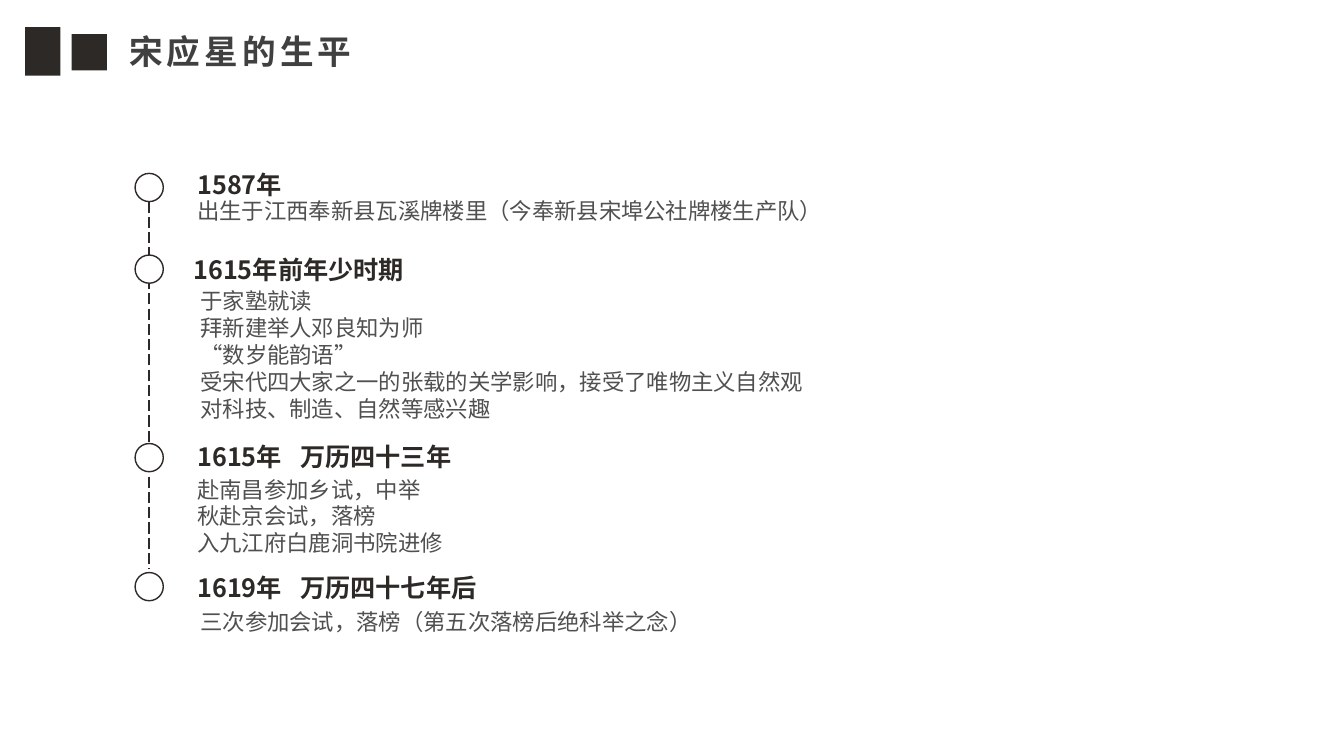
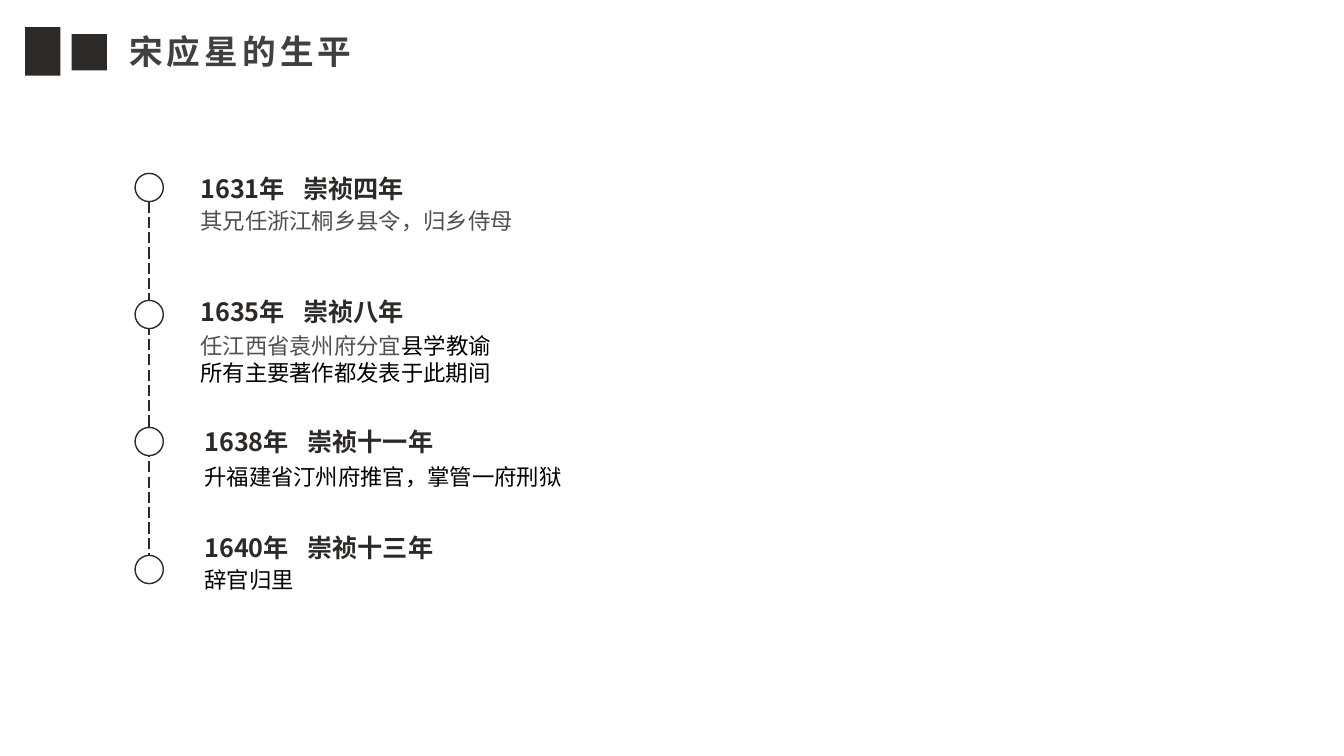
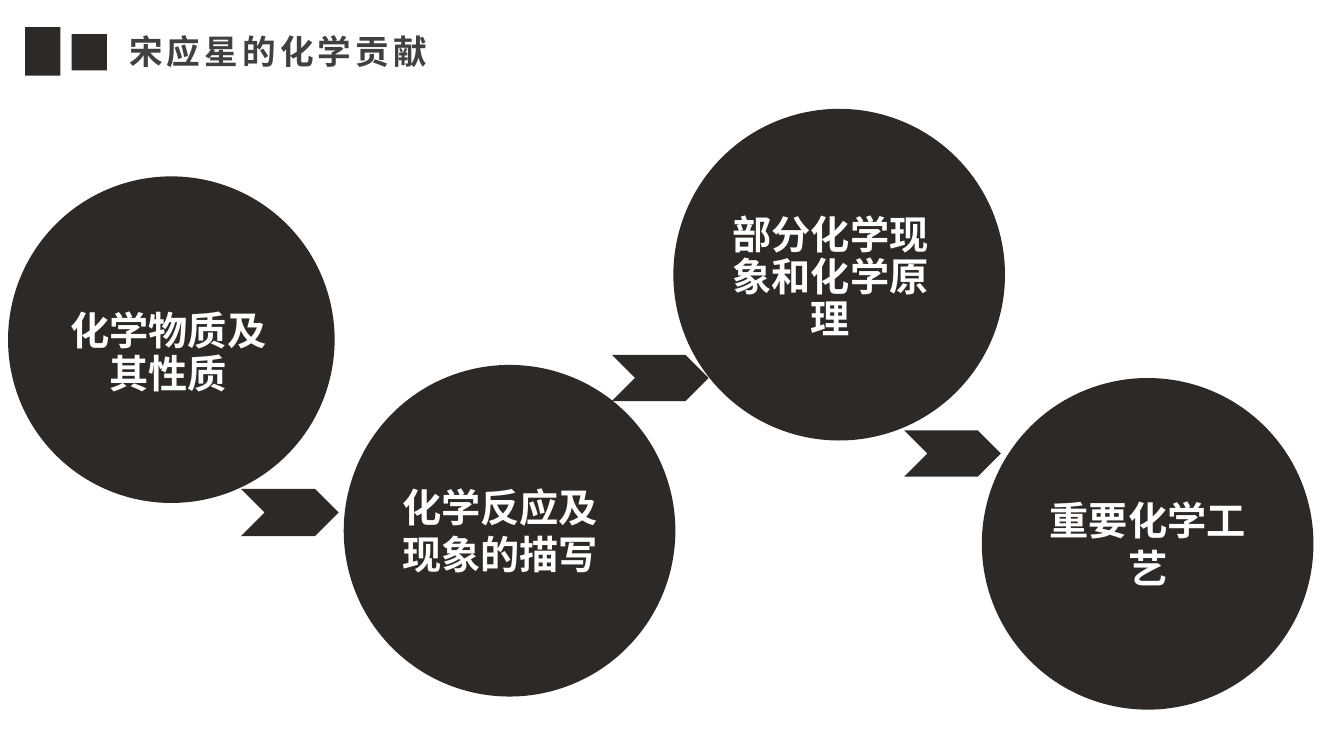
"""Build three slides on the life of Song Yingxing and his chemical work."""
from dataclasses import dataclass
from typing import NamedTuple, Optional

import lxml.etree
import pptx
import pptx.dml.color
import pptx.enum.dml
import pptx.enum.shapes
import pptx.enum.text
import pptx.oxml.ns
import pptx.util

SHAPE = pptx.enum.shapes.MSO_SHAPE
ALIGN = pptx.enum.text.PP_ALIGN
ANCHOR = pptx.enum.text.MSO_ANCHOR
FONT = "Noto Sans CJK SC"
COLORS = {
    "ink": "2D2926",
    "title": "404040",
    "detail": "505050",
    "black": "000000",
    "white": "FFFFFF",
}

COLUMNS, ROWS = 133.33, 75
CELL = pptx.util.Inches(0.1)
NODE_LEFT, NODE_SIZE = 13.4, 2.8
AXIS_COLUMN, AXIS_END = NODE_LEFT + NODE_SIZE / 2, 56.4
ERA_TAB = 10.2


class Area(NamedTuple):
    """Left, top, width and height in grid cells."""
    left: float
    top: float
    width: float
    height: float


class Style(NamedTuple):
    """Character formatting."""
    size: int
    color: str
    bold: bool = False
    spacing: int = 0


class Span(NamedTuple):
    """A piece of a line in one colour."""
    text: str
    color: str = "detail"


@dataclass
class Event:
    """A dated entry of the timeline."""
    node_top: float
    heading_left: float
    heading_top: float
    heading: str
    details_left: float
    details_top: float
    details: list[list[Span]]


@dataclass
class Topic:
    """A circle with its text, set inside it or in a separate area."""
    circle: Area
    text: str
    align: int = ALIGN.CENTER
    label: Optional[Area] = None


TITLE = Style(24, "title", True, 300)
HEADING = Style(18, "ink", True)
DETAIL = Style(16, "detail")
TOPIC = Style(28, "white", True)

TITLE_AREA = Area(12.1, 2.8, 118.9, 4.7)
TITLE_BLOCKS = [Area(2.5, 2.7, 3.5, 4.8), Area(7.1, 3.4, 3.5, 3.6)]

EARLY_LIFE = [
    Event(17.2, 18.6, 16.3, "1587年", 18.6, 19.1,
          [[Span("出生于江西奉新县瓦溪牌楼里（今奉新县宋埠公社牌楼生产队）")]]),
    Event(25.3, 18.2, 24.7, "1615年前年少时期", 18.9, 28,
          [[Span("于家塾就读")],
           [Span("拜新建举人邓良知为师")],
           [Span("“数岁能韵语”")],
           [Span("受宋代四大家之一的张载的关学影响，接受了唯物主义自然观")],
           [Span("对科技、制造、自然等感兴趣")]]),
    Event(44, 18.6, 43.3, "1615年\t万历四十三年", 18.6, 46.7,
          [[Span("赴南昌参加乡试，中举")],
           [Span("秋赴京会试，落榜")],
           [Span("入九江府白鹿洞书院进修")]]),
    Event(56.8, 18.6, 56.3, "1619年\t万历四十七年后", 18.9, 59.8,
          [[Span("三次参加会试，落榜（第五次落榜后绝科举之念）")]]),
]
LATER_LIFE = [
    Event(17.2, 18.9, 16.7, "1631年\t崇祯四年", 18.9, 20.1,
          [[Span("其兄任浙江桐乡县令，归乡侍母")]]),
    Event(29.8, 18.9, 28.9, "1635年\t崇祯八年", 18.9, 32.5,
          [[Span("任江西省袁州府分宜"), Span("县学教谕", "black")],
           [Span("所有主要著作都发表于此期间", "black")]]),
    Event(42.4, 19.3, 41.8, "1638年\t崇祯十一年", 19.3, 45.5,
          [[Span("升福建省汀州府推官，掌管一府刑狱", "black")]]),
    Event(55.1, 19.3, 52.3, "1640年\t崇祯十三年", 19.3, 55.7,
          [[Span("辞官归里", "black")]]),
]
TOPICS = [
    Topic(Area(0.8, 17.5, 32.4, 32.4), "化学物质及其性质",
          label=Area(4.6, 26.8, 24.2, 16.7)),
    Topic(Area(34.1, 36.2, 32.9, 32.9), "化学反应及现象的描写", ALIGN.LEFT),
    Topic(Area(66.8, 10.8, 32.9, 32.9), "部分化学现象和化学原理",
          label=Area(71.6, 19.3, 21.6, 16.7)),
    Topic(Area(97.4, 37.5, 32.9, 32.9), "重要化学工艺"),
]
CHEVRONS = [Area(23.9, 48.5, 9.7, 4.7), Area(60.7, 35.2, 9.6, 4.6), Area(89.7, 42.7, 9.6, 4.6)]


def cells(count: float) -> int:
    """Turn grid cells into a length."""
    return round(count * CELL)


def rgb(color: str) -> pptx.dml.color.RGBColor:
    """Look up a colour by name."""
    return pptx.dml.color.RGBColor.from_string(COLORS[color])


def format_run(run, style: Style) -> None:
    """Apply a style to a run, for Latin and East Asian letters."""
    font = run.font
    font.size, font.bold, font.name = pptx.util.Pt(style.size), style.bold, FONT
    font.color.rgb = rgb(style.color)
    properties = run._r.get_or_add_rPr()
    if style.spacing:
        properties.set("spc", str(style.spacing))
    lxml.etree.SubElement(properties, pptx.oxml.ns.qn("a:ea"), typeface=FONT)


def add_tab(paragraph, position: float) -> None:
    """Give a paragraph a left tab stop."""
    stops = lxml.etree.SubElement(paragraph._p.get_or_add_pPr(), pptx.oxml.ns.qn("a:tabLst"))
    lxml.etree.SubElement(stops, pptx.oxml.ns.qn("a:tab"), pos=str(cells(position)), algn="l")


def draw_shape(slide, kind: int, area: Area, fill: str = "ink", outline: Optional[str] = None):
    """Draw a flat preset shape."""
    shape = slide.shapes.add_shape(kind, *map(cells, area))
    shape.shadow.inherit = False
    shape.fill.solid()
    shape.fill.fore_color.rgb = rgb(fill)
    if outline:
        shape.line.color.rgb = rgb(outline)
        shape.line.width = pptx.util.Pt(1)
    else:
        shape.line.fill.background()
    return shape


def draw_text(slide, area: Area, lines: list[list[Span]], style: Style):
    """Draw a wrapping text box, a paragraph for each line."""
    frame = slide.shapes.add_textbox(*map(cells, area)).text_frame
    frame.word_wrap = True
    frame.auto_size = pptx.enum.text.MSO_AUTO_SIZE.SHAPE_TO_FIT_TEXT
    frame.text = "\n".join(line[0].text for line in lines)
    for paragraph, line in zip(frame.paragraphs, lines):
        for span in line[1:]:
            paragraph.add_run().text = span.text
        for run, span in zip(paragraph.runs, line):
            format_run(run, style._replace(color=span.color))
    return frame


def new_slide(deck, title: str):
    """Add a blank slide with the shared title and its two blocks."""
    slide = deck.slides.add_slide(deck.slide_layouts[6])
    frame = draw_text(slide, TITLE_AREA, [[Span(title, TITLE.color)]], TITLE)
    frame.margin_left = frame.margin_right = cells(0.7)
    frame.margin_top = frame.margin_bottom = cells(0.3)
    for block in TITLE_BLOCKS:
        draw_shape(slide, SHAPE.RECTANGLE, block)
    return slide


def draw_timeline(slide, events: list[Event]) -> None:
    """Draw a dashed axis with a node and texts for each event."""
    axis = slide.shapes.add_connector(
        pptx.enum.shapes.MSO_CONNECTOR.STRAIGHT,
        cells(AXIS_COLUMN), cells(events[0].node_top + NODE_SIZE),
        cells(AXIS_COLUMN), cells(AXIS_END))
    axis.line.color.rgb = rgb("ink")
    axis.line.width = pptx.util.Pt(1)
    axis.line.dash_style = pptx.enum.dml.MSO_LINE.LONG_DASH
    lxml.etree.SubElement(axis._element.spPr, pptx.oxml.ns.qn("a:effectLst"))
    for event in events:
        node = Area(NODE_LEFT, event.node_top, NODE_SIZE, NODE_SIZE)
        draw_shape(slide, SHAPE.OVAL, node, "white", "ink")
        heading = draw_text(slide, Area(event.heading_left, event.heading_top, 100.6, 4),
                            [[Span(event.heading, HEADING.color)]], HEADING)
        if "\t" in event.heading:
            add_tab(heading.paragraphs[0], ERA_TAB)
        height = 1 + 2.7 * len(event.details)
        draw_text(slide, Area(event.details_left, event.details_top, 101.3, height),
                  event.details, DETAIL)


def draw_topic(slide, topic: Topic) -> None:
    """Draw a circle and its text."""
    circle = draw_shape(slide, SHAPE.OVAL, topic.circle)
    holder = slide.shapes.add_textbox(*map(cells, topic.label)) if topic.label else circle
    frame = holder.text_frame
    frame.word_wrap = True
    frame.vertical_anchor = ANCHOR.MIDDLE
    frame.text = topic.text
    paragraph = frame.paragraphs[0]
    paragraph.alignment = topic.align
    if topic.label:
        paragraph.line_spacing = 0.9
    format_run(paragraph.runs[0], TOPIC)


def main() -> None:
    """Build and save the deck."""
    deck = pptx.Presentation()
    deck.slide_width, deck.slide_height = cells(COLUMNS), cells(ROWS)
    for events in (EARLY_LIFE, LATER_LIFE):
        draw_timeline(new_slide(deck, "宋应星的生平"), events)
    contributions = new_slide(deck, "宋应星的化学贡献")
    for topic in TOPICS:
        draw_topic(contributions, topic)
    for chevron in CHEVRONS:
        draw_shape(contributions, SHAPE.CHEVRON, chevron)
    deck.save("out.pptx")


if __name__ == "__main__":
    main()
